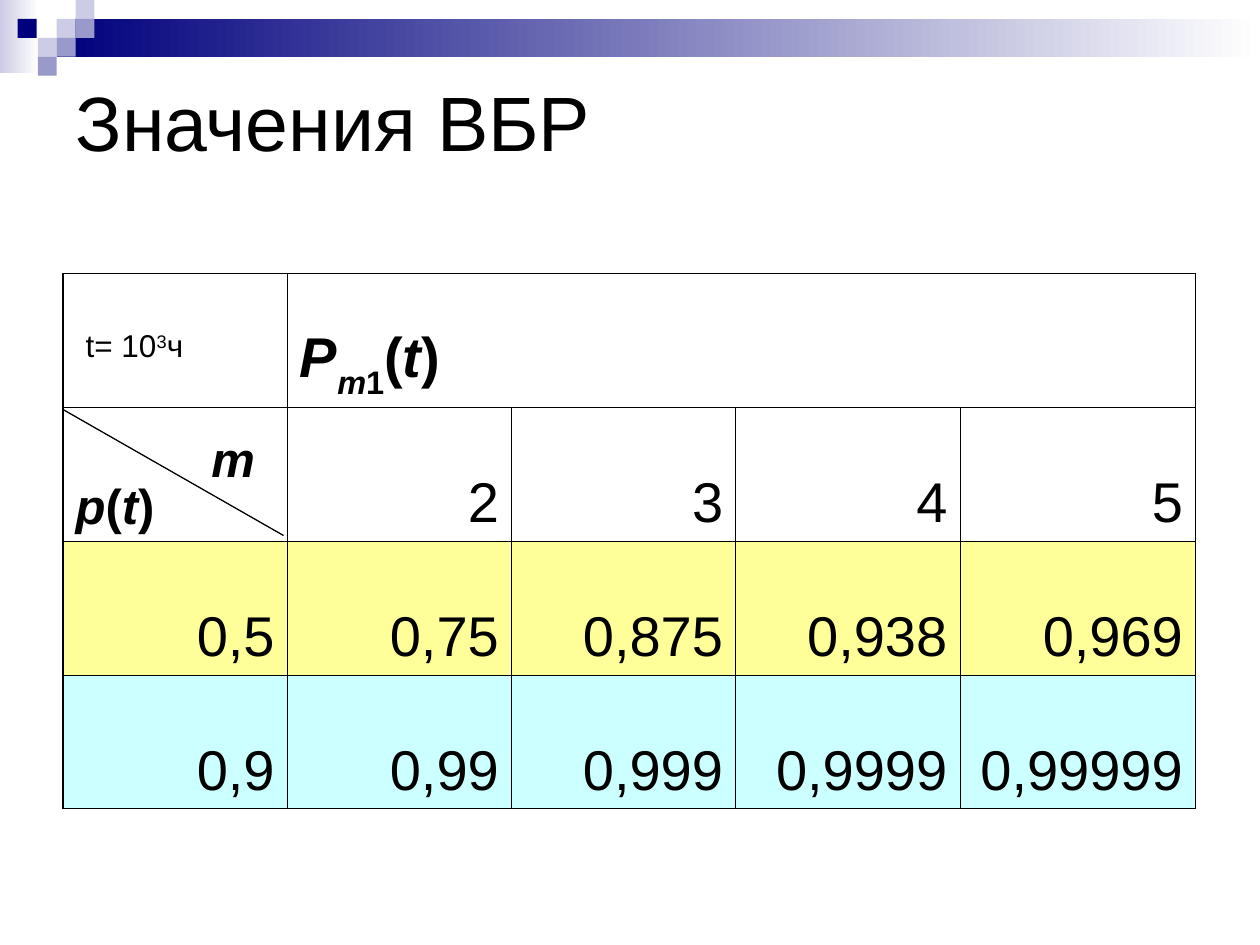
from lxml.etree import SubElement
from pptx import Presentation
from pptx.dml.color import RGBColor
from pptx.enum.shapes import MSO_CONNECTOR as Connector, MSO_SHAPE as Shape
from pptx.enum.text import MSO_ANCHOR as Anchor, PP_ALIGN as Align
from pptx.oxml.ns import qn
from pptx.util import Inches, Pt

# Content: a span is (text, italic, baseline shift in percent)
TITLE = "Значения ВБР"
TIME = [("t= 10", False, 0), ("3", False, 30), ("ч", False, 0)]
PROBABILITY = [("P", True, 0), ("m", True, -30), ("1", False, -30),
               ("(", False, 0), ("t", True, 0), (")", False, 0)]
ROW_LABEL = [("p", True, 0), ("(", False, 0), ("t", True, 0), (")", False, 0)]
COLUMN_LABEL = [("m", True, 0)]
COUNTS = ["2", "3", "4", "5"]
VALUES = [
    ("FFFF99", ["0,5", "0,75", "0,875", "0,938", "0,969"]),
    ("CCFFFF", ["0,9", "0,99", "0,999", "0,9999", "0,99999"]),
]

# Banner: gradient bands, then small squares as (left, top, colour)
BANDS = [(0, 0, 0.31, 0.58, "CCCCE6"), (0.45, 0.15, 9.55, 0.3, "00007D")]
SQUARE = 0.15
SQUARES = [
    (0.45, 0.15, "CCCCE6"), (0.6, 0, "CCCCE6"), (0.6, 0.15, "9999CC"),
    (0.3, 0.3, "CCCCE6"), (0.14, 0.15, "00007D"), (0.45, 0.3, "9999CC"),
    (0.3, 0.45, "9999CC"),
]

LEFT, TOP, ROW_HEIGHT = 0.5, 2.17, 1.0625
COLUMNS = [1.78, 1.78, 1.78, 1.78, 1.87]
BOTTOM = TOP + 4 * ROW_HEIGHT
LINES = [(LEFT, TOP, LEFT, BOTTOM), (LEFT, 3.25, 2.25, 4.25)]


def colour(value):
    return RGBColor.from_string(value)


def add_rectangle(page, left, top, width, height):
    box = page.shapes.add_shape(Shape.RECTANGLE, Inches(left), Inches(top),
                                Inches(width), Inches(height))
    box.shadow.inherit = False
    box.line.fill.background()
    return box


def write(frame, spans, size, bold=False, align=Align.LEFT):
    para = frame.paragraphs[0]
    para.alignment = align
    for text, italic, baseline in spans:
        span = para.add_run()
        span.text = text
        font = span.font
        font.name, font.size = "Arial", Pt(size)
        font.bold, font.italic = bold, italic
        font.color.rgb = colour("000000")
        if baseline:
            span._r.get_or_add_rPr().set("baseline", str(baseline * 1000))


def style_cell(cell, fill=None):
    cell.vertical_anchor = Anchor.BOTTOM
    properties = cell._tc.get_or_add_tcPr()
    for side in ("a:lnL", "a:lnR", "a:lnT", "a:lnB"):
        border = SubElement(properties, qn(side), w=str(Pt(0.45)))
        solid = SubElement(border, qn("a:solidFill"))
        SubElement(solid, qn("a:srgbClr"), val="000000")
    if fill:
        cell.fill.solid()
        cell.fill.fore_color.rgb = colour(fill)
    else:
        cell.fill.background()


def add_banner(page):
    for left, top, width, height, start in BANDS:
        fill = add_rectangle(page, left, top, width, height).fill
        fill.gradient()
        fill.gradient_angle = 0
        for stop, value, position in zip(fill.gradient_stops, (start, "FFFFFF"), (0, 1)):
            stop.color.rgb = colour(value)
            stop.position = position
    for left, top, value in SQUARES:
        fill = add_rectangle(page, left, top, SQUARE, SQUARE).fill
        fill.solid()
        fill.fore_color.rgb = colour(value)


def add_title(page):
    title = page.shapes.title
    title.left, title.top = Inches(0.5), Inches(0.5)
    title.width, title.height = Inches(9), Inches(0.92)
    title.text_frame.vertical_anchor = Anchor.MIDDLE
    write(title.text_frame, [(TITLE, False, 0)], 44)


def add_values(page):
    frame = page.shapes.add_table(4, len(COLUMNS), Inches(LEFT), Inches(TOP),
                                  Inches(sum(COLUMNS)), Inches(4 * ROW_HEIGHT))
    table = frame.table
    table.first_row = table.horz_banding = False
    for column, width in zip(table.columns, COLUMNS):
        column.width = Inches(width)
    fills = [None, None] + [fill for fill, _ in VALUES]
    for row, fill in enumerate(fills):
        for column in range(len(COLUMNS)):
            style_cell(table.cell(row, column), fill)

    # Header cells
    table.cell(0, 1).merge(table.cell(0, 4))
    corner = table.cell(0, 0)
    corner.margin_left, corner.margin_bottom = Inches(0.18), Inches(0.34)
    write(corner.text_frame, TIME, 18)
    write(table.cell(0, 1).text_frame, PROBABILITY, 32, bold=True)
    write(table.cell(1, 0).text_frame, ROW_LABEL, 28, bold=True)

    # Numbers
    rows = [(1, 1, COUNTS)] + [(2 + i, 0, texts) for i, (_, texts) in enumerate(VALUES)]
    for row, first, texts in rows:
        for column, text in enumerate(texts, first):
            write(table.cell(row, column).text_frame, [(text, False, 0)], 32,
                  align=Align.RIGHT)


def add_lines(page):
    for ends in LINES:
        line = page.shapes.add_connector(Connector.STRAIGHT, *map(Inches, ends))
        line.line.color.rgb = colour("000000")
        line.line.width = Pt(0.75)
        SubElement(line._element.spPr, qn("a:effectLst"))


def add_column_label(page):
    box = page.shapes.add_textbox(Inches(1.58), Inches(3.35), Inches(0.75), Inches(0.57))
    box.text_frame.word_wrap = True
    write(box.text_frame, COLUMN_LABEL, 28, bold=True)


def main():
    deck = Presentation()
    deck.slide_width, deck.slide_height = Inches(10), Inches(7.5)
    page = deck.slides.add_slide(deck.slide_layouts[5])
    add_banner(page)
    add_title(page)
    add_values(page)
    add_lines(page)
    add_column_label(page)
    deck.save("out.pptx")


if __name__ == "__main__":
    main()
